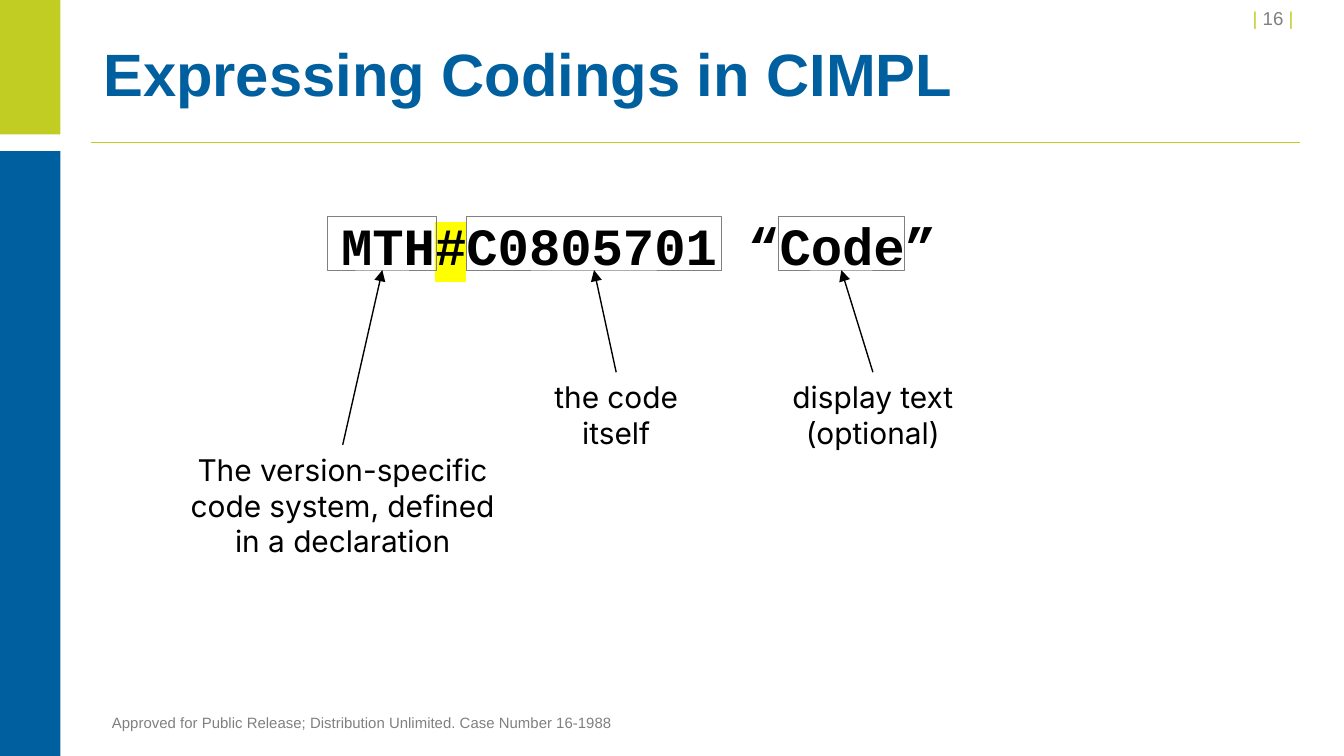
from dataclasses import dataclass
from typing import NamedTuple

import lxml.etree
import pptx
import pptx.dml.color
import pptx.enum.shapes
import pptx.enum.text
import pptx.oxml.ns
import pptx.util

ALIGN = pptx.enum.text.PP_ALIGN
ANCHOR = pptx.enum.text.MSO_ANCHOR
qn = pptx.oxml.ns.qn


@dataclass(frozen=True)
class Theme:
    lime: str = "C1CD23"
    blue: str = "005F9E"
    gray: str = "808080"
    black: str = "000000"
    yellow: str = "FFFF00"
    sans: str = "Arial"
    mono: str = "Courier New"
    body: str = "Inter"
    title: int = 32
    code: int = 28
    note: int = 16
    page: int = 10
    foot: int = 8


class Box(NamedTuple):
    col: float
    row: float
    cols: float
    rows: float

    @property
    def mid(self) -> float:
        return self.col + self.cols / 2

    @property
    def base(self) -> float:
        return self.row + self.rows


class Run(NamedTuple):
    text: str
    color: str
    mark: str = ""


class Part(NamedTuple):
    frame: Box
    note: Box
    text: str


THEME = Theme()
COLS, ROWS = 100, 56.25
deck = pptx.Presentation()
deck.slide_width = pptx.util.Inches(10)
deck.slide_height = pptx.util.Inches(5.625)
slide = deck.slides.add_slide(deck.slide_layouts[6])


def across(cols: float) -> int:
    return round(deck.slide_width * cols / COLS)


def down(rows: float) -> int:
    return round(deck.slide_height * rows / ROWS)


def place(box: Box) -> tuple[int, int, int, int]:
    return across(box.col), down(box.row), across(box.cols), down(box.rows)


def tint(color: str) -> pptx.dml.color.RGBColor:
    return pptx.dml.color.RGBColor.from_string(color)


def add_block(box: Box, fill: str = "", edge: str = "") -> None:
    kind = pptx.enum.shapes.MSO_SHAPE.RECTANGLE
    shape = slide.shapes.add_shape(kind, *place(box))
    shape.shadow.inherit = False
    if fill:
        shape.fill.solid()
        shape.fill.fore_color.rgb = tint(fill)
    else:
        shape.fill.background()
    if edge:
        shape.line.color.rgb = tint(edge)
        shape.line.width = pptx.util.Pt(0.5)
    else:
        shape.line.fill.background()


def add_line(start: tuple[float, float], end: tuple[float, float],
             color: str, width: float, arrow: bool = False) -> None:
    kind = pptx.enum.shapes.MSO_CONNECTOR.STRAIGHT
    line = slide.shapes.add_connector(
        kind, across(start[0]), down(start[1]), across(end[0]), down(end[1]))
    line.line.color.rgb = tint(color)
    line.line.width = pptx.util.Pt(width)
    if arrow:
        stroke = line.line._get_or_add_ln()
        lxml.etree.SubElement(stroke, qn("a:tailEnd"), type="triangle")
    props = line._element.spPr
    lxml.etree.SubElement(props, qn("a:effectLst"))


def add_text(box: Box, runs: list[Run], font: str, size: int,
             align: ALIGN = ALIGN.LEFT, anchor: ANCHOR = ANCHOR.TOP,
             bold: bool = False, wrap: bool = True, pitch: int = 0) -> None:
    frame = slide.shapes.add_textbox(*place(box)).text_frame
    frame.word_wrap = wrap
    frame.vertical_anchor = anchor
    para = frame.paragraphs[0]
    para.alignment = align
    if pitch:
        para.line_spacing = pptx.util.Pt(pitch)
    for item in runs:
        run = para.add_run()
        run.text = item.text
        run.font.size = pptx.util.Pt(size)
        run.font.bold = bold
        run.font.color.rgb = tint(item.color)
        run.font.name = font
        if item.mark:
            props = run._r.get_or_add_rPr()
            mark = lxml.etree.Element(qn("a:highlight"))
            lxml.etree.SubElement(mark, qn("a:srgbClr"), val=item.mark)
            props.find(qn("a:solidFill")).addnext(mark)


def add_part(part: Part) -> None:
    add_block(part.frame, edge=THEME.gray)
    add_text(part.note, [Run(part.text, THEME.black)], THEME.body, THEME.note,
             ALIGN.CENTER)
    add_line((part.note.mid, part.note.row), (part.frame.mid, part.frame.base),
             THEME.black, 0.75, arrow=True)


PARTS = [
    Part(Box(24.4, 16.1, 8.1, 4), Box(13, 33.1, 25, 9.1),
         "The version-specific code system, defined in a declaration"),
    Part(Box(34.7, 16.1, 19, 4), Box(38, 27.7, 15.7, 6.4), "the code itself"),
    Part(Box(57.9, 16.1, 9.4, 4), Box(57.1, 27.7, 15.7, 6.4),
         "display text (optional)"),
]

add_line((6.8, 10.6), (96.7, 10.6), THEME.lime, 1)
add_block(Box(0, 0, 4.5, 10), THEME.lime)
add_block(Box(0, 11.25, 4.5, 45), THEME.blue)
add_text(Box(80.1, 0, 17.5, 2.7),
         [Run("| ", THEME.lime), Run("16 ", THEME.gray), Run("| ", THEME.lime)],
         THEME.sans, THEME.page, ALIGN.RIGHT)
add_text(Box(6.7, 2.3, 90, 7.1),
         [Run("Expressing Codings in CIMPL", THEME.blue)],
         THEME.sans, THEME.title, anchor=ANCHOR.MIDDLE, bold=True, pitch=32)
add_text(Box(24.4, 15.4, 46.7, 5.7),
         [Run("MTH", THEME.black), Run("#", THEME.black, THEME.yellow),
          Run("C0805701 “Code”", THEME.black)],
         THEME.mono, THEME.code, bold=True, wrap=False)
for part in PARTS:
    add_part(part)
add_text(Box(6.7, 52.3, 40.5, 3),
         [Run("Approved for Public Release; Distribution Unlimited. "
              "Case Number 16-1988", THEME.gray)],
         THEME.sans, THEME.foot, ALIGN.CENTER, ANCHOR.MIDDLE)

deck.save("out.pptx")
